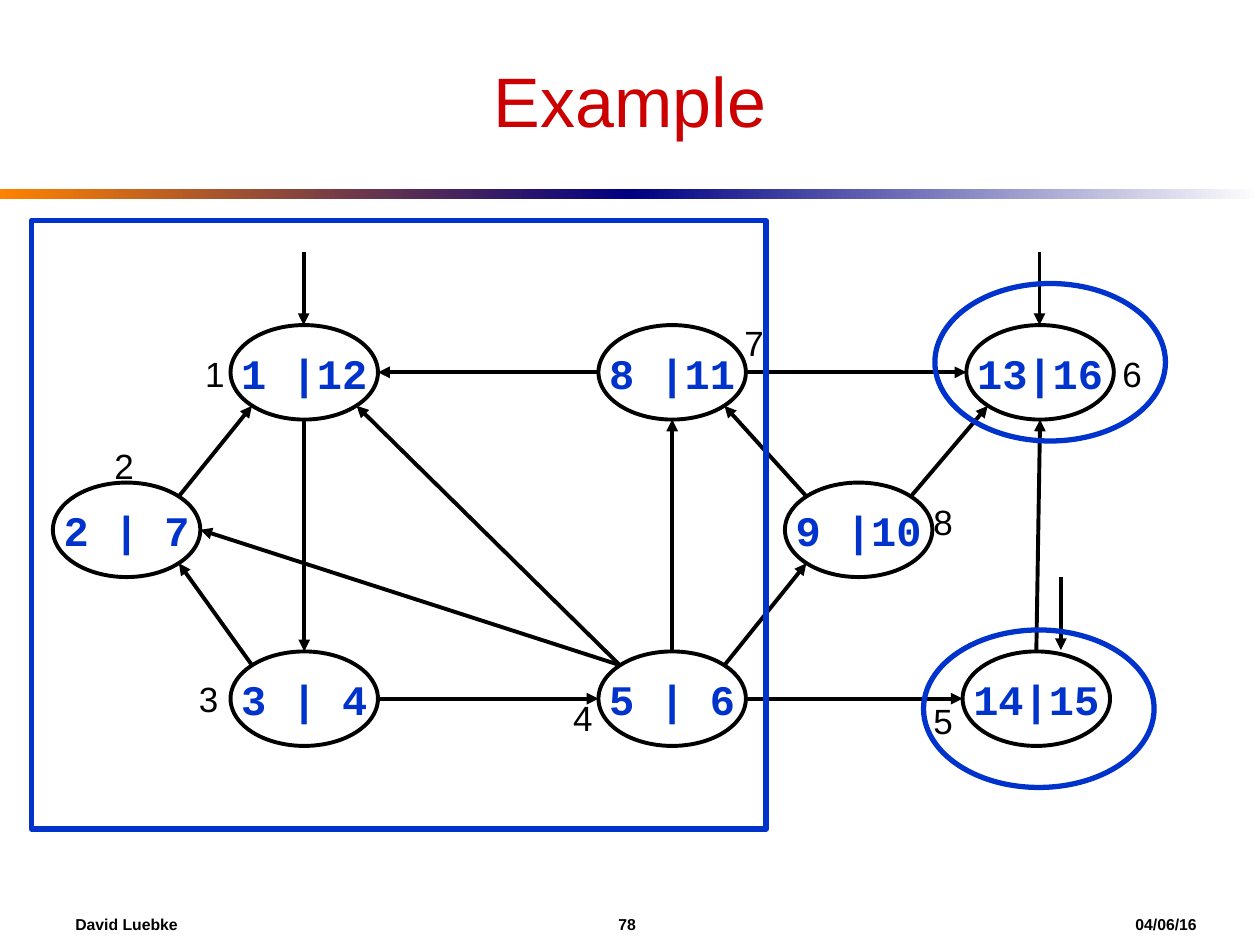
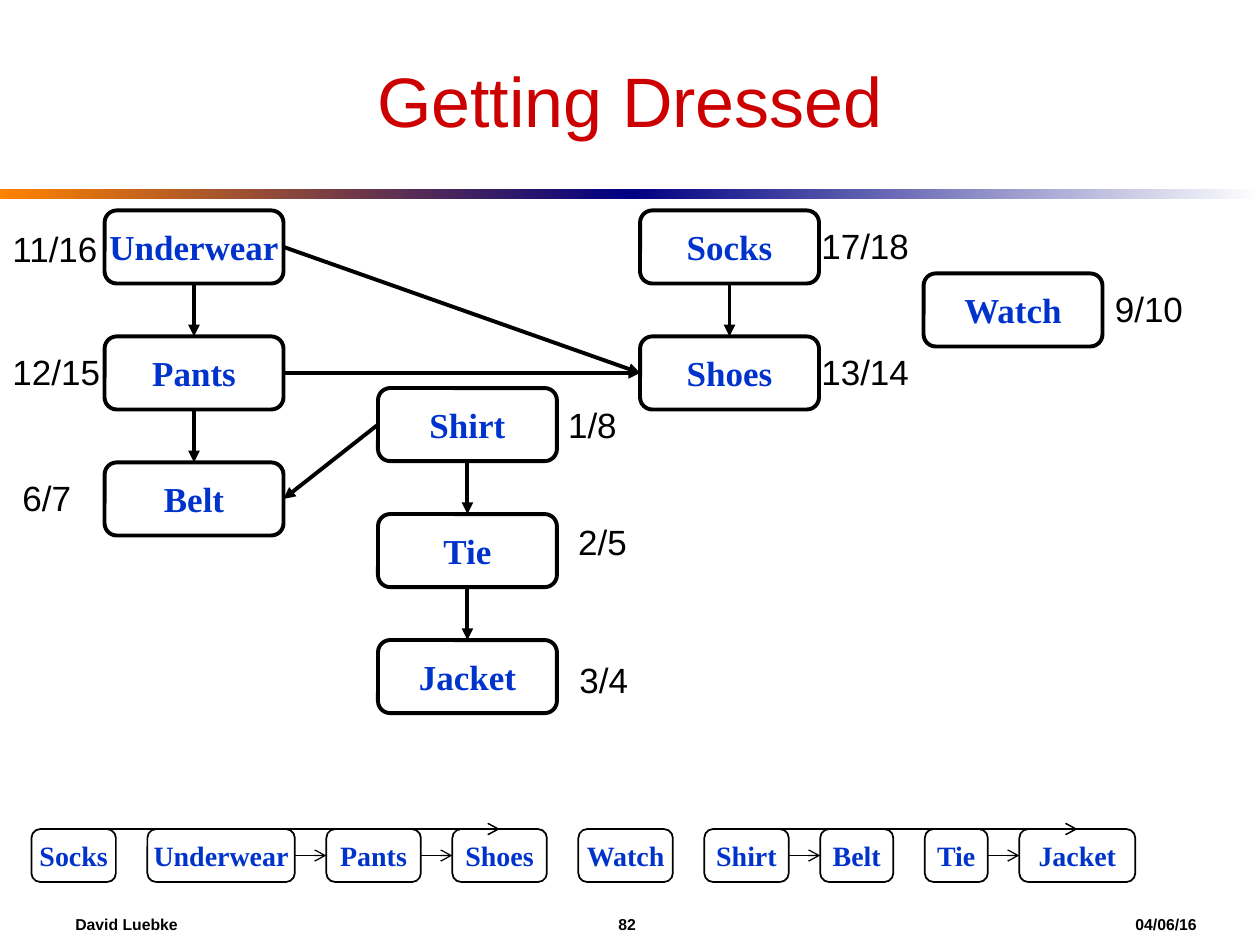
"""Build two slides on depth-first search: a timed graph and a topological sort."""
from dataclasses import dataclass

from lxml import etree
from pptx import Presentation
from pptx import util as u
from pptx.dml.color import RGBColor
from pptx.enum import shapes, text
from pptx.oxml import ns


@dataclass(frozen=True)
class Theme:
    black: str = "000000"
    blue: str = "0033CC"
    red: str = "CC0000"
    orange: str = "FF8200"
    navy: str = "000082"
    white: str = "FFFFFF"
    title: tuple = ("Arial", 40, red, False)
    footer: tuple = ("Arial", 9, black, True)
    label: tuple = ("Arial", 20, black, False)
    node: tuple = ("Courier New", 24, blue, True)
    garment: tuple = ("Times New Roman", 20, blue, True)
    sequence: tuple = ("Times New Roman", 16, blue, True)
    thin: float = 0.75
    fine: float = 1
    medium: float = 2.25
    thick: float = 3


theme = Theme()
shape_kind = shapes.MSO_SHAPE
connector_kind = shapes.MSO_CONNECTOR
left, center = text.PP_ALIGN.LEFT, text.PP_ALIGN.CENTER


def add_box(page, place, content="", style=None, kind=None, outline=None,
            align=center, wrap=False):
    """Add a text box, or an outlined shape when a kind is given."""
    place = [u.Inches(length) for length in place]
    if kind is None:
        box = page.shapes.add_textbox(*place)
    else:
        box = page.shapes.add_shape(kind, *place)
        box.shadow.inherit = False
        box.fill.background()
        color, width = outline
        box.line.color.rgb = RGBColor.from_string(color)
        box.line.width = u.Pt(width)
    if content:
        font, size, color, bold = style
        frame = box.text_frame
        frame.word_wrap = wrap
        frame.vertical_anchor = text.MSO_ANCHOR.MIDDLE
        para = frame.paragraphs[0]
        para.alignment = align
        span = para.add_run()
        span.text = content
        span.font.name = font
        span.font.size = u.Pt(size)
        span.font.bold = bold
        span.font.color.rgb = RGBColor.from_string(color)
    return box


def add_arrow(page, start=(0, 0), end=(0, 0), width=theme.medium, head="triangle",
              kind=connector_kind.STRAIGHT):
    """Add a black connector with an arrowhead at its end."""
    ends = [u.Inches(length) for length in (*start, *end)]
    arrow = page.shapes.add_connector(kind, *ends)
    arrow.line.color.rgb = RGBColor.from_string(theme.black)
    arrow.line.width = u.Pt(width)
    properties = arrow._element.spPr
    etree.SubElement(properties.get_or_add_ln(), ns.qn("a:tailEnd"), type=head)
    etree.SubElement(properties, ns.qn("a:effectLst"))
    return arrow


deck = Presentation()
deck.slide_width, deck.slide_height = u.Inches(10), u.Inches(7.5)

pages = []
for title, number in (("Example", 78), ("Getting Dressed", 82)):
    page = deck.slides.add_slide(deck.slide_layouts[6])
    for x, colors in ((0, (theme.orange, theme.navy)), (5, (theme.navy, theme.white))):
        band = add_box(page, (x, 1.5, 5, 0.08), kind=shape_kind.RECTANGLE,
                       outline=(theme.navy, theme.thin))
        band.line.fill.background()
        band.fill.gradient()
        band.fill.gradient_angle = 0
        for stop, color in zip(band.fill.gradient_stops, colors):
            stop.color.rgb = RGBColor.from_string(color)
    add_box(page, (0.5, 0.25, 9, 1.08), title, theme.title, wrap=True)
    footer = add_box(page, (0.5, 7.17, 9.1, 0.33), f"David Luebke\t{number}\t04/06/16",
                     theme.footer, align=left, wrap=True)
    tabs = etree.SubElement(footer.text_frame.paragraphs[0]._p.get_or_add_pPr(),
                            ns.qn("a:tabLst"))
    for position, side in ((4.38, "ctr"), (8.9, "r")):
        etree.SubElement(tabs, ns.qn("a:tab"), pos=str(u.Inches(position)), algn=side)
    pages.append(page)
graph_page, dressing_page = pages

node_width, node_height = 1.17, 0.75
nodes = {
    1: ("1 |12", 1.83, 2.58, 1.53, 2.75),
    2: ("2 | 7", 0.42, 3.83, 0.81, 3.48),
    3: ("3 | 4", 1.83, 5.17, 1.48, 5.33),
    4: ("5 | 6", 4.75, 5.17, 4.45, 5.48),
    5: ("14|15", 7.64, 5.17, 7.31, 5.5),
    6: ("13|16", 7.67, 2.58, 8.81, 2.75),
    7: ("8 |11", 4.75, 2.58, 5.81, 2.5),
    8: ("9 |10", 6.23, 3.83, 7.31, 3.92),
}
sites = {"n": (0, -1), "s": (0, 1), "w": (-1, 0), "e": (1, 0),
         "nw": (-0.71, -0.71), "ne": (0.71, -0.71),
         "sw": (-0.71, 0.71), "se": (0.71, 0.71)}
edges = ((2, "ne", 1, "sw"), (3, "nw", 2, "se"), (4, "nw", 2, "e"), (3, "e", 4, "w"),
         (1, "s", 3, "n"), (4, "nw", 1, "se"), (4, "n", 7, "s"), (7, "w", 1, "e"),
         (7, "e", 6, "w"), (8, "nw", 7, "se"), (8, "ne", 6, "sw"), (5, "n", 6, "s"),
         (4, "e", 5, "w"), (4, "ne", 8, "sw"))

for times, x, y, _, _ in nodes.values():
    add_box(graph_page, (x, y, node_width, node_height), times, theme.node,
            shape_kind.OVAL, (theme.black, theme.medium))
for source, source_site, target, target_site in edges:
    ends = []
    for node, site in ((source, source_site), (target, target_site)):
        _, x, y, _, _ = nodes[node]
        across, down = sites[site]
        ends.append((x + node_width / 2 * (1 + across), y + node_height / 2 * (1 + down)))
    add_arrow(graph_page, *ends)
for number, (_, _, _, x, y) in nodes.items():
    add_box(graph_page, (x, y, 0.35, 0.43), str(number), theme.label, align=left)
for x, y in ((2.41, 2), (8.25, 2), (8.42, 4.58)):
    add_arrow(graph_page, (x, y), (x, y + 0.58))
for kind, place in ((shape_kind.OVAL, (7.42, 2.25, 1.83, 1.25)),
                    (shape_kind.OVAL, (7.33, 5, 1.83, 1.25)),
                    (shape_kind.RECTANGLE, (0.25, 1.75, 5.83, 4.83))):
    add_box(graph_page, place, kind=kind, outline=(theme.blue, theme.thick))

top, left_side, bottom, right_side = range(4)
sequence_top, sequence_gap, x = 6.58, 0.25, 0.25
sequence_widths = {"Socks": 0.67, "Underwear": 1.17, "Pants": 0.75, "Shoes": 0.75,
                   "Watch": 0.75, "Shirt": 0.67, "Belt": 0.58, "Tie": 0.5, "Jacket": 0.92}
sequence, middles = {}, {}
for name, width in sequence_widths.items():
    sequence[name] = add_box(dressing_page, (x, sequence_top, width, 0.42), name,
                             theme.sequence, shape_kind.ROUNDED_RECTANGLE,
                             (theme.black, theme.fine))
    middles[name] = x + width / 2
    x += width + sequence_gap
for source, target in (("Socks", "Shoes"), ("Underwear", "Shoes"),
                       ("Shirt", "Jacket"), ("Belt", "Jacket")):
    add_arrow(dressing_page, (middles[source], sequence_top),
              (middles[target], sequence_top), theme.thin, "arrow",
              connector_kind.CURVE)
for source, target in (("Underwear", "Pants"), ("Pants", "Shoes"),
                       ("Shirt", "Belt"), ("Tie", "Jacket")):
    arrow = add_arrow(dressing_page, width=theme.thin, head="arrow")
    arrow.begin_connect(sequence[source], right_side)
    arrow.end_connect(sequence[target], left_side)

garments = {
    "Underwear": (0.83, 1.67, "11/16", 0, 1.75),
    "Pants": (0.83, 2.67, "12/15", 0, 2.73),
    "Belt": (0.83, 3.67, "6/7", 0.08, 3.73),
    "Shirt": (3, 3.08, "1/8", 4.41, 3.15),
    "Tie": (3, 4.08, "2/5", 4.49, 4.08),
    "Jacket": (3, 5.08, "3/4", 4.5, 5.17),
    "Socks": (5.08, 1.67, "17/18", 6.42, 1.73),
    "Shoes": (5.08, 2.67, "13/14", 6.42, 2.73),
    "Watch": (7.33, 2.17, "9/10", 8.75, 2.23),
}
label_widths = {3: 0.65, 4: 0.8, 5: 0.95}
boxes = {}
for name, (x, y, times, label_x, label_y) in garments.items():
    boxes[name] = add_box(dressing_page, (x, y, 1.42, 0.58), name, theme.garment,
                          shape_kind.ROUNDED_RECTANGLE, (theme.black, theme.medium))
    add_box(dressing_page, (label_x, label_y, label_widths[len(times)], 0.44), times,
            theme.label, align=left, wrap=True)
for source, source_side, target, target_side in (
        ("Underwear", bottom, "Pants", top), ("Pants", bottom, "Belt", top),
        ("Shirt", left_side, "Belt", right_side), ("Shirt", bottom, "Tie", top),
        ("Tie", bottom, "Jacket", top), ("Socks", bottom, "Shoes", top),
        ("Underwear", right_side, "Shoes", left_side),
        ("Pants", right_side, "Shoes", left_side)):
    arrow = add_arrow(dressing_page)
    arrow.begin_connect(boxes[source], source_side)
    arrow.end_connect(boxes[target], target_side)

deck.save("out.pptx")
